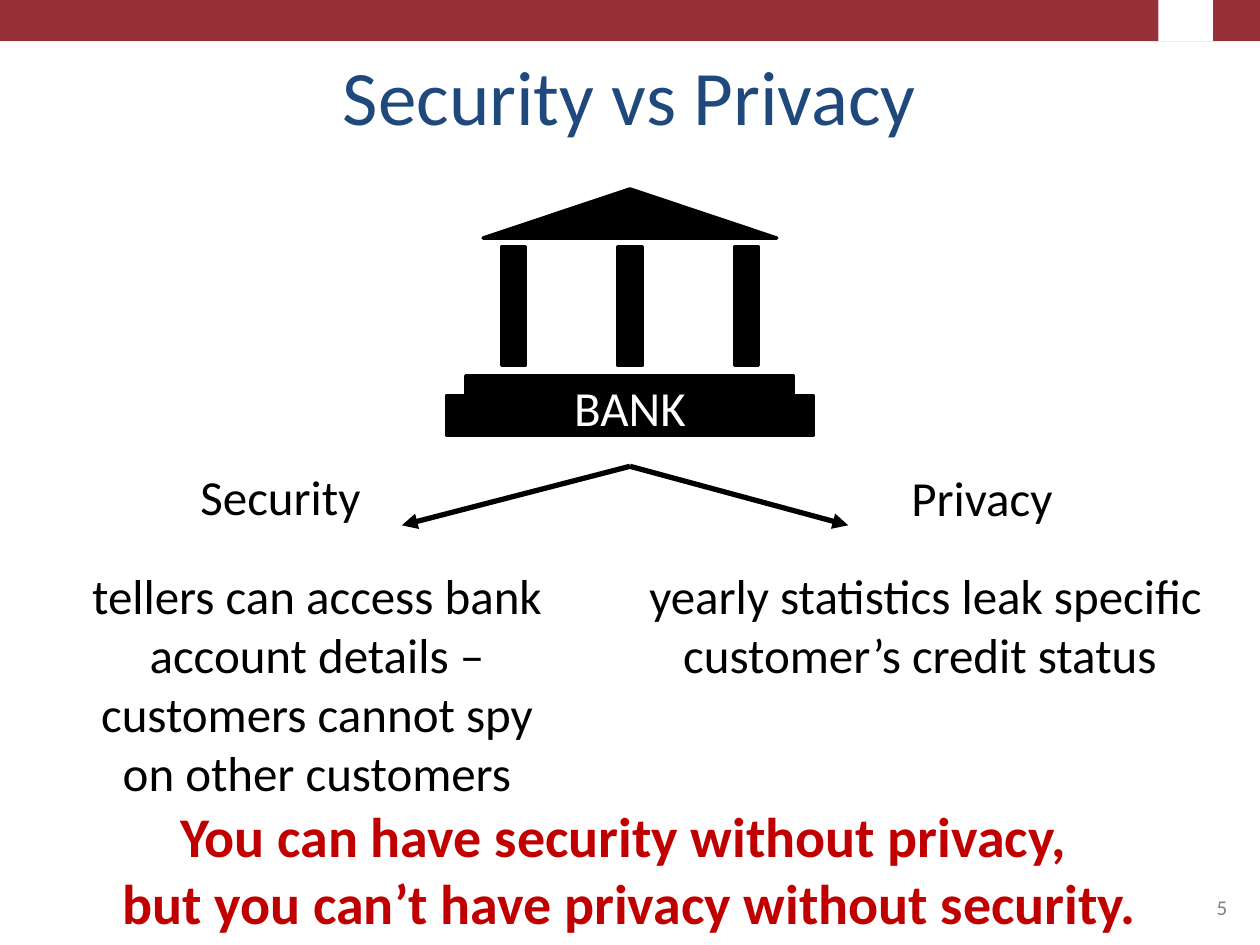
from lxml import etree
from pptx import Presentation
from pptx.dml.color import RGBColor
from pptx.enum import shapes, text
from pptx.oxml.ns import qn
from pptx.util import Cm, Pt

BLACK, WHITE, RED, BAND, BLUE, GREY = "000000", "FFFFFF", "C00000", "963237", "1F497D", "808080"
CENTRE = 12.7


def add_block(kind, left, top, width, height, colour, outline=None):
    shape = slide.shapes.add_shape(kind, Cm(left), Cm(top), Cm(width), Cm(height))
    shape.shadow.inherit = False
    shape.fill.solid()
    shape.fill.fore_color.rgb = RGBColor.from_string(colour)
    if outline:
        shape.line.color.rgb = RGBColor.from_string(colour)
        shape.line.width = Pt(outline)
    else:
        shape.line.fill.background()


def write(shape, lines, size, colour, align=text.PP_ALIGN.CENTER, bold=False):
    """Fill the shape's text frame with one paragraph per line."""
    frame = shape.text_frame
    frame.word_wrap = True
    frame.text = "\n".join(lines)
    for paragraph in frame.paragraphs:
        paragraph.alignment = align
        paragraph.font.name = "Calibri"
        paragraph.font.size = Pt(size)
        paragraph.font.bold = bold
        paragraph.font.color.rgb = RGBColor.from_string(colour)


presentation = Presentation()
presentation.slide_width, presentation.slide_height = Cm(25.4), Cm(19.05)
slide = presentation.slides.add_slide(presentation.slide_layouts[5])
RECTANGLE = shapes.MSO_SHAPE.RECTANGLE

# Top band with a plain emblem space
add_block(RECTANGLE, 0, 0, 25.4, 0.83, BAND)
add_block(RECTANGLE, 23.35, 0, 1.1, 0.83, WHITE)

title = slide.shapes.title
title.left, title.top, title.width, title.height = Cm(1.27), Cm(0.76), Cm(22.86), Cm(2.21)
write(title, ["Security vs Privacy"], 44, BLUE)
title.text_frame.vertical_anchor = text.MSO_ANCHOR.BOTTOM

# Bank building, symmetric about the slide's centre
for width, top, height in [(7.4, 7.98, 0.79), (6.6, 7.58, 0.4)]:
    add_block(RECTANGLE, CENTRE - width / 2, top, width, height, BLACK, 2)
for offset in (-2.35, 0, 2.35):
    add_block(RECTANGLE, CENTRE + offset - 0.24, 4.98, 0.48, 2.39, BLACK, 2)
add_block(shapes.MSO_SHAPE.ISOSCELES_TRIANGLE, CENTRE - 2.96, 3.81, 5.92, 0.99, BLACK, 2)

# Arrows from the bank to both topics
for end in (8.1, 17.1):
    arrow = slide.shapes.add_connector(
        shapes.MSO_CONNECTOR.STRAIGHT, Cm(CENTRE), Cm(9.4), Cm(end), Cm(10.59))
    arrow.line.color.rgb = RGBColor.from_string(BLACK)
    arrow.line.width = Pt(3)
    etree.SubElement(arrow.line._get_or_add_ln(), qn("a:tailEnd"), type="triangle")
    etree.SubElement(arrow._element.spPr, qn("a:effectLst"))

labels = [
    (9.02, 7.49, 7.36, 1.45, ["BANK"], 28, WHITE),
    (2.24, 9.27, 6.83, 1.45, ["Security"], 28, BLACK),
    (16.38, 9.3, 6.83, 1.45, ["Privacy"], 28, BLACK),
    (1.27, 11.28, 10.24, 5.05,
     ["tellers can access bank account details –", "customers cannot spy on other customers"], 28, BLACK),
    (11.91, 11.28, 13.49, 2.64,
     ["yearly statistics leak specific customer’s credit status "], 28, BLACK),
    (0, 16.03, 25.4, 3,
     ["You can have security without privacy, ", "but you can’t have privacy without security."], 32, RED),
]
for left, top, width, height, lines, size, colour in labels:
    label = slide.shapes.add_textbox(Cm(left), Cm(top), Cm(width), Cm(height))
    write(label, lines, size, colour, bold=colour == RED)

page_number = slide.shapes.add_textbox(Cm(18.21), Cm(17.35), Cm(6.78), Cm(1.32))
write(page_number, ["5"], 12, GREY, text.PP_ALIGN.RIGHT)
page_number.text_frame.vertical_anchor = text.MSO_ANCHOR.BOTTOM

presentation.save("out.pptx")
